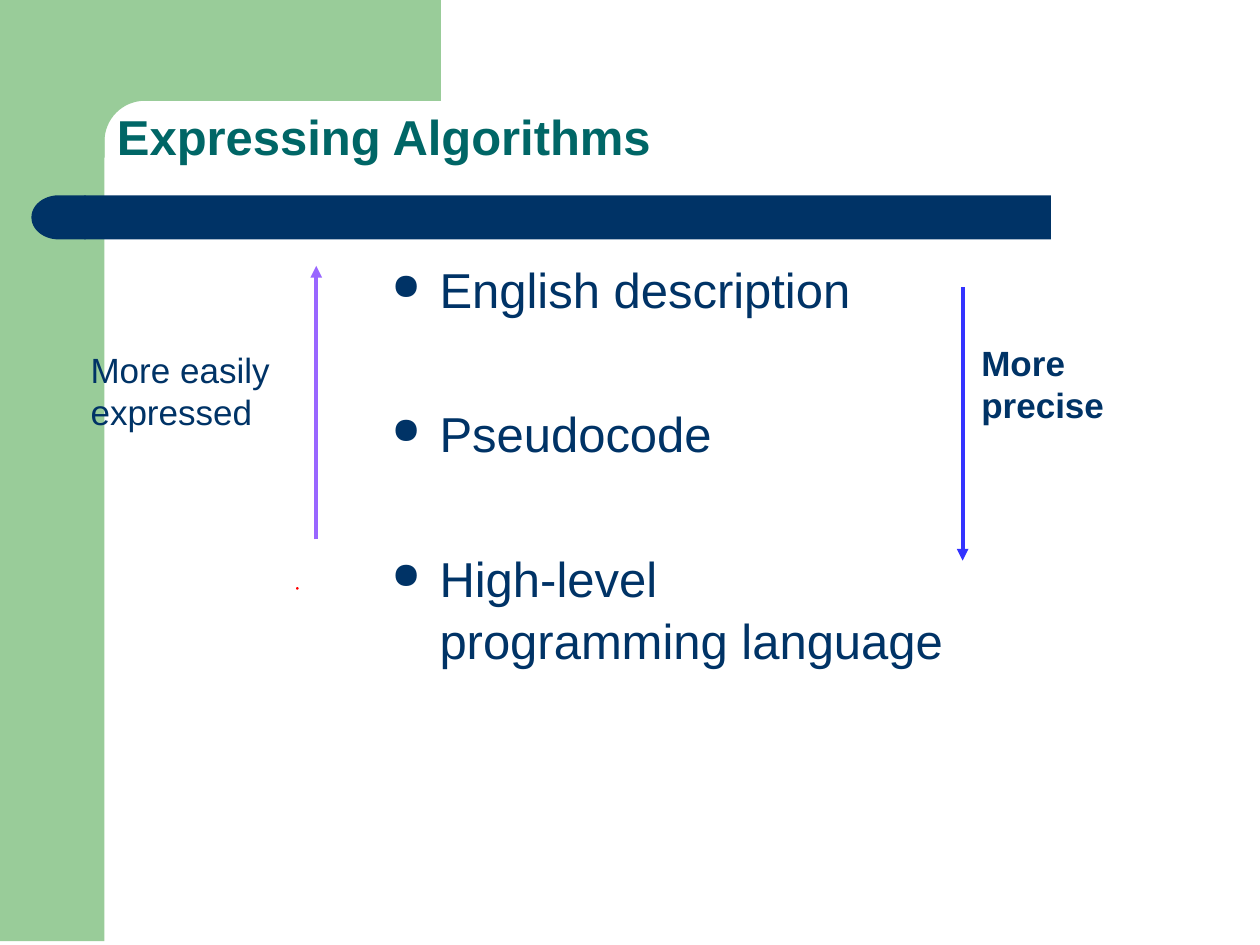
from math import cos, pi, sin
from lxml import etree
from pptx import Presentation
from pptx.dml.color import RGBColor
from pptx.enum.shapes import MSO_CONNECTOR, MSO_SHAPE
from pptx.enum.text import MSO_ANCHOR
from pptx.oxml.ns import qn
from pptx.util import Inches, Pt

STRAIGHT = MSO_CONNECTOR.STRAIGHT
RECTANGLE, OVAL = MSO_SHAPE.RECTANGLE, MSO_SHAPE.OVAL
DELAY = MSO_SHAPE.FLOWCHART_DELAY
TOP, BOTTOM = MSO_ANCHOR.TOP, MSO_ANCHOR.BOTTOM

THEME = {
    "font": "Arial",
    "green": RGBColor.from_string("99CC99"),
    "navy": RGBColor.from_string("003366"),
    "teal": RGBColor.from_string("006666"),
    "purple": RGBColor.from_string("9966FF"),
    "blue": RGBColor.from_string("3333FF"),
    "red": RGBColor.from_string("FF0000"),
    "large": Pt(28),
    "small": Pt(20),
}


def paint(shape, color):
    shape.shadow.inherit = False
    shape.fill.solid()
    shape.fill.fore_color.rgb = THEME[color]
    shape.line.fill.background()


def add_text(page, place, lines, size, color, bold=False, anchor=TOP):
    box = page.shapes.add_textbox(*map(Inches, place))
    frame = box.text_frame
    frame.word_wrap = True
    frame.vertical_anchor = anchor
    frame.text = "\n".join(lines)
    style = {"name": THEME["font"], "size": THEME[size], "bold": bold}
    for para in frame.paragraphs:
        for span in para.runs:
            for name, value in style.items():
                setattr(span.font, name, value)
            span.font.color.rgb = THEME[color]
    return frame


deck = Presentation()
deck.slide_width, deck.slide_height = Inches(10), Inches(7.5)
page = deck.slides.add_slide(deck.slide_layouts[6])

side = page.shapes.add_shape(RECTANGLE, 0, Inches(-0.03), Inches(0.83), Inches(7.5))
paint(side, "green")

radius, steps = 0.32, 16
angles = [pi / 2 * step / steps for step in range(steps + 1)]
curve = [(0.83 + radius * (1 - sin(a)), 0.8 + radius * (1 - cos(a))) for a in angles]
outline = [(3.5, 0.8), *curve, (0.83, 1.25), (0.5, 1.25), (0.5, -0.03)]
builder = page.shapes.build_freeform(Inches(3.5), Inches(-0.03), scale=1.0)
builder.add_line_segments([(Inches(x), Inches(y)) for x, y in outline], close=True)
paint(builder.convert_to_shape(), "green")

for kind, place, color in (
    (RECTANGLE, (0.67, 1.55, 7.67, 0.35), "navy"),
    (DELAY, (0.25, 1.55, 0.43, 0.35), "navy"),
    (OVAL, (2.35, 4.66, 0.02, 0.02), "red"),
):
    shape = page.shapes.add_shape(kind, *map(Inches, place))
    paint(shape, color)
    if kind == DELAY:
        shape._element.spPr.find(qn("a:xfrm")).set("flipH", "1")

add_text(page, (0.83, 0.29, 8.34, 1.07), ["Expressing Algorithms"],
         "large", "teal", True, BOTTOM)

levels = ["English description", "Pseudocode", "High-level programming language"]
body = add_text(page, (3.01, 1.98, 4.62, 4.5), levels, "large", "navy")
for index, para in enumerate(body.paragraphs):
    para.line_spacing = 1.06
    para.space_before = Pt(47 if index else 0)
    props = para._p.get_or_add_pPr()
    props.set("marL", str(Inches(0.38)))
    props.set("indent", str(Inches(-0.38)))
    etree.SubElement(props, qn("a:buSzPct"), val="75000")
    etree.SubElement(props, qn("a:buChar"), char="●")

add_text(page, (7.69, 2.66, 1.8, 0.77), ["More precise"], "small", "navy", True)
add_text(page, (0.62, 2.72, 1.91, 0.77), ["More easily expressed"], "small", "navy")

for x, start, end, color in ((2.51, 4.28, 2.11, "purple"), (7.64, 2.28, 4.45, "blue")):
    arrow = page.shapes.add_connector(
        STRAIGHT, Inches(x), Inches(start), Inches(x), Inches(end))
    arrow.line.color.rgb = THEME[color]
    arrow.line.width = Pt(2.25)
    etree.SubElement(arrow.line._get_or_add_ln(), qn("a:tailEnd"), type="triangle")
    etree.SubElement(arrow._element.spPr, qn("a:effectLst"))

deck.save("out.pptx")
